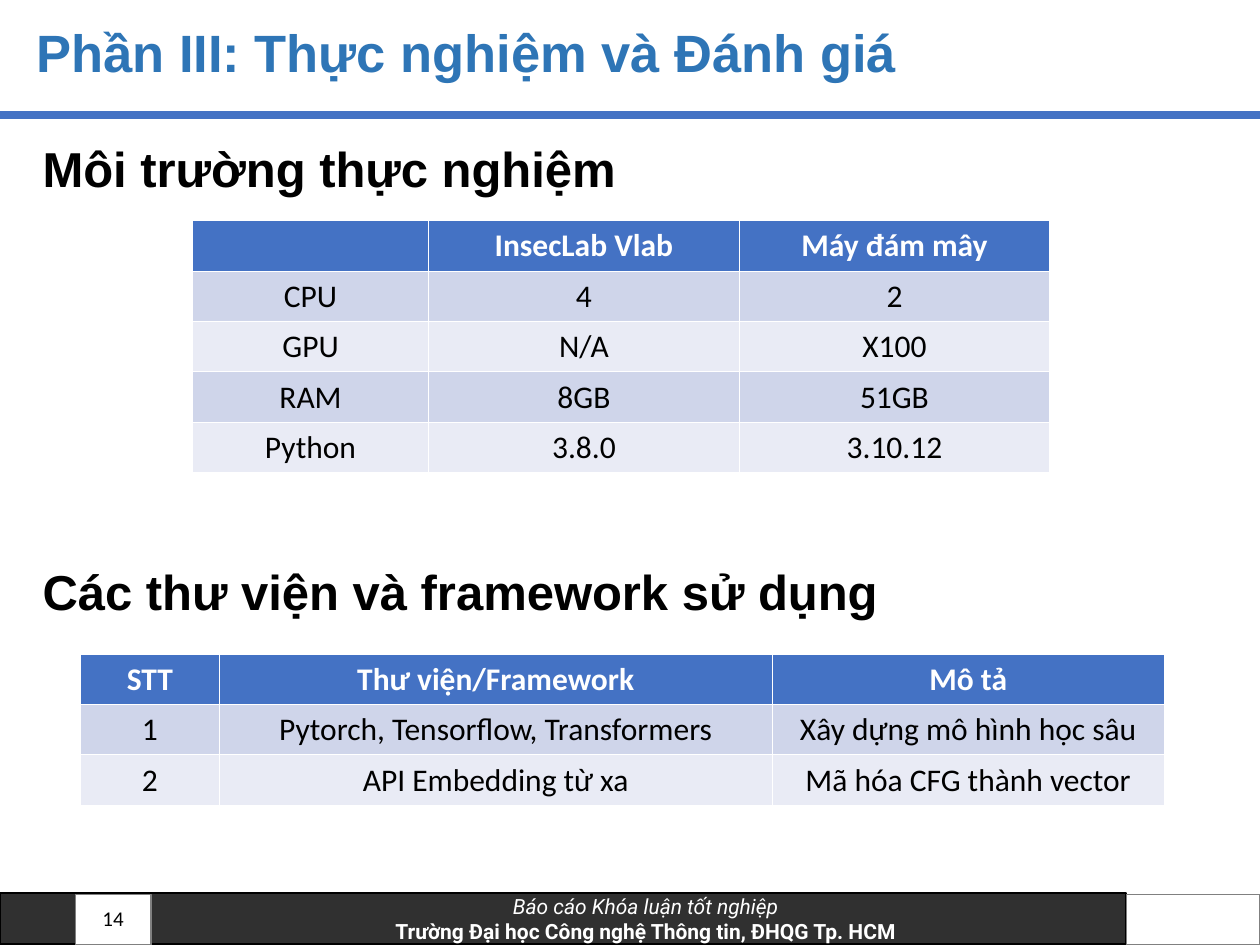
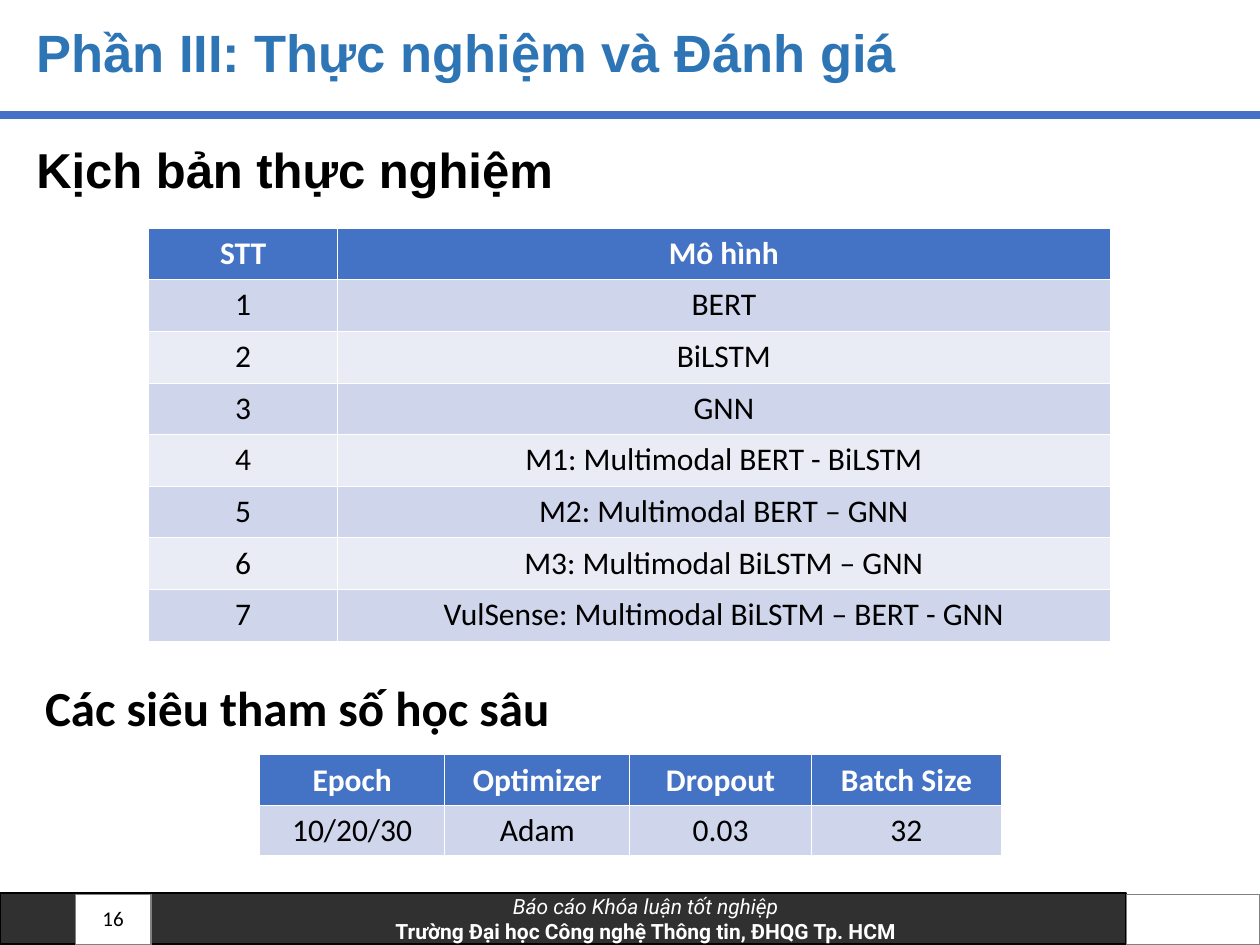
from lxml.etree import SubElement
from pptx import Presentation
from pptx.dml.color import RGBColor
from pptx.enum.shapes import MSO_CONNECTOR, MSO_SHAPE
from pptx.enum.text import MSO_ANCHOR, MSO_AUTO_SIZE, PP_ALIGN
from pptx.oxml import parse_xml
from pptx.oxml.ns import nsdecls, qn
from pptx.util import Inches, Pt

BLUE, TITLE_BLUE = "4472C4", "2E75B6"
BLACK, WHITE, GREY = "000000", "FFFFFF", "808080"
ROW_BANDS = ("CFD5EA", "E9EBF5")
SECTION = "Phần III: Thực nghiệm và Đánh giá"
REPORT = "Báo cáo Khóa luận tốt nghiệp"
UNIVERSITY = "Trường Đại học Công nghệ Thông tin, ĐHQG Tp. HCM"


def color(hex_code):
    return RGBColor.from_string(hex_code)


def inches(*lengths):
    return [Inches(length) for length in lengths]


def style(paragraph, size, font, hex_code, bold=False, italic=False, align=PP_ALIGN.LEFT):
    paragraph.alignment = align
    for run in paragraph.runs:
        run.font.size = Pt(size)
        run.font.name = font
        run.font.color.rgb = color(hex_code)
        run.font.bold = bold
        run.font.italic = italic


def add_panel(slide, box, fill, line):
    panel = slide.shapes.add_shape(MSO_SHAPE.RECTANGLE, *inches(*box))
    panel.shadow.inherit = False
    panel.fill.solid()
    panel.fill.fore_color.rgb = color(fill)
    panel.line.color.rgb = color(line)
    panel.line.width = Pt(1)
    return panel


def add_title(slide, box):
    title = slide.shapes.title
    title.left, title.top, title.width, title.height = inches(*box)
    frame = title.text_frame
    frame.text = SECTION
    frame.auto_size = MSO_AUTO_SIZE.NONE
    frame.vertical_anchor = MSO_ANCHOR.MIDDLE
    frame.paragraphs[0].line_spacing = 0.9
    style(frame.paragraphs[0], 30, "Arial", TITLE_BLUE, bold=True)

    left, top, width, height = box
    rule_y = top + height + 0.19
    rule = slide.shapes.add_connector(MSO_CONNECTOR.STRAIGHT, *inches(0, rule_y, 10, rule_y))
    rule.line.color.rgb = color(BLUE)
    rule.line.width = Pt(4.5)
    SubElement(rule._element.spPr, qn("a:effectLst"))


def add_footer(slide, number, box):
    left, top, width, height = box
    end_width = 1.06
    band = add_panel(slide, (left, top, width - end_width, height), BLACK, BLACK)
    band_color = band._element.spPr.find(qn("a:solidFill"))[0]
    SubElement(band_color, qn("a:alpha"), val="81000")
    frame = band.text_frame
    frame.word_wrap = True
    frame.vertical_anchor = MSO_ANCHOR.MIDDLE
    frame.margin_left = frame.margin_right = Inches(0.15)
    frame.margin_top = frame.margin_bottom = Inches(0.07)
    frame.text = f"{REPORT}\n{UNIVERSITY}"
    for paragraph, bold in zip(frame.paragraphs, (False, True)):
        style(paragraph, 12, "Roboto", WHITE, bold, not bold, PP_ALIGN.CENTER)
        paragraph._p.get_or_add_pPr().set("marL", str(Inches(1.31)))

    add_panel(slide, (left + 0.6, top + 0.01, 0.6, height), WHITE, GREY)
    add_panel(slide, (left + width - end_width, top + 0.01, end_width, height), WHITE, GREY)

    page = slide.shapes.add_textbox(*inches(left + 0.64, top, 0.44, height)).text_frame
    page.word_wrap = True
    page.vertical_anchor = MSO_ANCHOR.MIDDLE
    page.text = str(number)
    style(page.paragraphs[0], 12, "Calibri", BLACK, align=PP_ALIGN.RIGHT)


def add_heading(slide, text, left, top, font="Arial", spacing=0.9):
    frame = slide.shapes.add_textbox(*inches(left, top, 9.4, 0.57)).text_frame
    frame.word_wrap = True
    frame.text = text
    frame.paragraphs[0].line_spacing = spacing
    style(frame.paragraphs[0], 28, font, BLACK, bold=True)


def format_cell(cell, text, fill, ink, bold):
    cell.text = text
    style(cell.text_frame.paragraphs[0], 18, "Calibri", ink, bold, align=PP_ALIGN.CENTER)
    borders = cell._tc.get_or_add_tcPr()
    for side in ("lnL", "lnR", "lnT", "lnB"):
        borders.append(parse_xml(
            f'<a:{side} {nsdecls("a")} w="{Pt(0.6)}"><a:solidFill>'
            f'<a:srgbClr val="{WHITE}"/></a:solidFill></a:{side}>'))
    cell.fill.solid()
    cell.fill.fore_color.rgb = color(fill)


def add_grid(slide, left, top, widths, rows, row_height=0.4):
    size = inches(left, top, sum(widths), row_height * len(rows))
    grid = slide.shapes.add_table(len(rows), len(widths), *size).table
    for column, width in zip(grid.columns, widths):
        column.width = Inches(width)
    for r, row in enumerate(rows):
        header = r == 0
        fill = BLUE if header else ROW_BANDS[(r - 1) % 2]
        for c, text in enumerate(row):
            format_cell(grid.cell(r, c), text, fill, WHITE if header else BLACK, header)


def add_section_slide(deck, number):
    slide = deck.slides.add_slide(deck.slide_layouts[5])
    add_title(slide, (0.19, 0.16, 8.98, 0.56))
    add_footer(slide, number, (0, 7.09, 10, 0.4))
    return slide


def build_environment(deck):
    slide = add_section_slide(deck, 14)
    add_heading(slide, "Môi trường thực nghiệm", 0.24, 1.1)
    add_grid(slide, 1.53, 1.75, (1.87, 2.47, 2.46), [
        ("", "InsecLab Vlab", "Máy đám mây"),
        ("CPU", "4", "2"),
        ("GPU", "N/A", "X100"),
        ("RAM", "8GB", "51GB"),
        ("Python", "3.8.0", "3.10.12"),
    ])
    add_heading(slide, "Các thư viện và framework sử dụng", 0.24, 4.46)
    add_grid(slide, 0.64, 5.19, (1.1, 4.39, 3.11), [
        ("STT", "Thư viện/Framework", "Mô tả"),
        ("1", "Pytorch, Tensorflow, Transformers", "Xây dựng mô hình học sâu"),
        ("2", "API Embedding từ xa", "Mã hóa CFG thành vector"),
    ])


def build_scenarios(deck):
    slide = add_section_slide(deck, 16)
    add_heading(slide, "Kịch bản thực nghiệm", 0.19, 1.11)
    models = (
        "BERT",
        "BiLSTM",
        "GNN",
        "M1: Multimodal BERT - BiLSTM",
        "M2: Multimodal BERT – GNN",
        "M3: Multimodal BiLSTM – GNN",
        "VulSense: Multimodal BiLSTM – BERT - GNN",
    )
    numbered = [(str(n), model) for n, model in enumerate(models, 1)]
    add_grid(slide, 1.18, 1.81, (1.5, 6.13), [("STT", "Mô hình"), *numbered], 0.41)
    add_heading(slide, "Các siêu tham số học sâu", 0.26, 5.33, "Calibri", 1.0)
    add_grid(slide, 2.06, 5.99, (1.47, 1.47, 1.44, 1.51), [
        ("Epoch", "Optimizer", "Dropout", "Batch Size"),
        ("10/20/30", "Adam", "0.03", "32"),
    ])


def main():
    deck = Presentation()
    deck.slide_width, deck.slide_height = inches(10, 7.5)
    build_environment(deck)
    build_scenarios(deck)
    deck.save("out.pptx")


if __name__ == "__main__":
    main()
